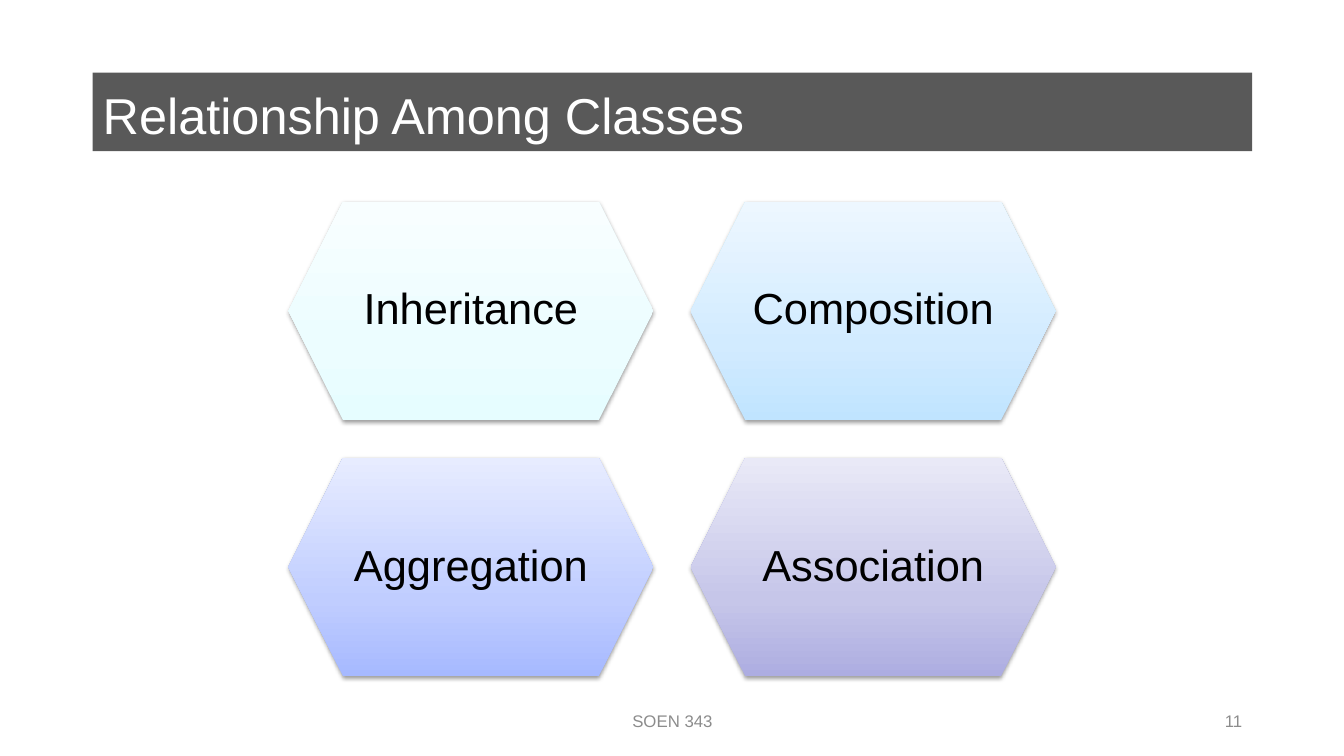
from dataclasses import dataclass

from lxml.etree import SubElement
from pptx import Presentation
from pptx.dml.color import RGBColor
from pptx.enum.shapes import MSO_SHAPE as Shape
from pptx.enum.text import MSO_ANCHOR as Anchor, PP_ALIGN as Align
from pptx.oxml.ns import qn
from pptx.util import Pt

TITLE = "Relationship Among Classes"
COURSE = "SOEN 343"
PAGE = "11"
RELATIONSHIPS = [
    ("Inheritance", ("E6FDFF", "ECFDFF", "F8FEFF")),
    ("Composition", ("C0E4FF", "D2EBFF", "EDF7FF")),
    ("Aggregation", ("A6B9FF", "C0CDFF", "E7ECFF")),
    ("Association", ("ADADE1", "C6C6E9", "E9E9F7")),
]


@dataclass(frozen=True)
class Theme:
    font: str = "Arial"
    black: str = "000000"
    white: str = "FFFFFF"
    muted: str = "8C8C8C"
    title_size: int = 36
    label_size: int = 31
    footer_size: int = 12
    band_alpha: int = 65
    shadow_alpha: int = 38
    gradient_stops: tuple = (0, 35, 100)


THEME = Theme()
PX = 9144
PERCENT = 1000
DEGREE = 60000
SLIDE = (1333, 750)
BAND = (92, 72, 1150, 78)
TITLE_BOX = (92, 72, 1142, 83)
COURSE_BOX = (442, 695, 450, 40)
PAGE_BOX = (942, 695, 300, 40)
GRID_LEFT, GRID_TOP = 286, 200
HEX_WIDTH, HEX_HEIGHT = 362, 217
PITCH_X, PITCH_Y = 399, 254
COLUMNS = 2


def emu(box):
    return [length * PX for length in box]


def add_color(parent, color, alpha=None):
    node = SubElement(parent, qn("a:srgbClr"), val=color)
    if alpha is not None:
        SubElement(node, qn("a:alpha"), val=str(alpha * PERCENT))


def write(holder, words, size, color, align, spacing=None):
    frame = holder.text_frame
    frame.word_wrap = True
    frame.vertical_anchor = Anchor.MIDDLE
    line = frame.paragraphs[0]
    line.alignment = align
    line.line_spacing = spacing
    run = line.add_run()
    run.text = words
    run.font.name = THEME.font
    run.font.size = Pt(size)
    run.font.color.rgb = RGBColor.from_string(color)


def add_band(slide):
    band = slide.shapes.add_shape(Shape.RECTANGLE, *emu(BAND))
    band.shadow.inherit = False
    band.line.fill.background()
    band.fill.solid()
    band.fill.fore_color.rgb = RGBColor.from_string(THEME.black)
    solid = band.fill._xPr.find(qn("a:solidFill"))
    solid.clear()
    add_color(solid, THEME.black, THEME.band_alpha)


def add_hexagon(slide, box, label, colors):
    hexagon = slide.shapes.add_shape(Shape.HEXAGON, *emu(box))
    hexagon.shadow.inherit = False
    hexagon.line.fill.background()
    hexagon.fill.gradient()
    properties = hexagon.fill._xPr
    gradient = properties.find(qn("a:gradFill"))
    gradient.clear()
    gradient.set("rotWithShape", "1")
    stops = SubElement(gradient, qn("a:gsLst"))
    for position, color in zip(THEME.gradient_stops, colors):
        add_color(SubElement(stops, qn("a:gs"), pos=str(position * PERCENT)), color)
    SubElement(gradient, qn("a:lin"), ang=str(270 * DEGREE), scaled="0")
    shadow = SubElement(
        properties.find(qn("a:effectLst")), qn("a:outerShdw"),
        blurRad=str(Pt(3.1)), dist=str(Pt(1.6)), dir=str(90 * DEGREE), rotWithShape="0",
    )
    add_color(shadow, THEME.black, THEME.shadow_alpha)
    frame = hexagon.text_frame
    frame.margin_left = frame.margin_right = frame.margin_top = frame.margin_bottom = 0
    write(hexagon, label, THEME.label_size, THEME.black, Align.CENTER, 0.9)


def main():
    deck = Presentation()
    deck.slide_width, deck.slide_height = emu(SLIDE)
    slide = deck.slides.add_slide(deck.slide_layouts[6])
    add_band(slide)
    for box, words, size, color, align in (
        (TITLE_BOX, TITLE, THEME.title_size, THEME.white, Align.LEFT),
        (COURSE_BOX, COURSE, THEME.footer_size, THEME.muted, Align.CENTER),
        (PAGE_BOX, PAGE, THEME.footer_size, THEME.muted, Align.RIGHT),
    ):
        write(slide.shapes.add_textbox(*emu(box)), words, size, color, align)
    for index, (label, colors) in enumerate(RELATIONSHIPS):
        row, column = divmod(index, COLUMNS)
        left = GRID_LEFT + column * PITCH_X
        top = GRID_TOP + row * PITCH_Y
        add_hexagon(slide, (left, top, HEX_WIDTH, HEX_HEIGHT), label, colors)
    deck.save("out.pptx")


if __name__ == "__main__":
    main()
